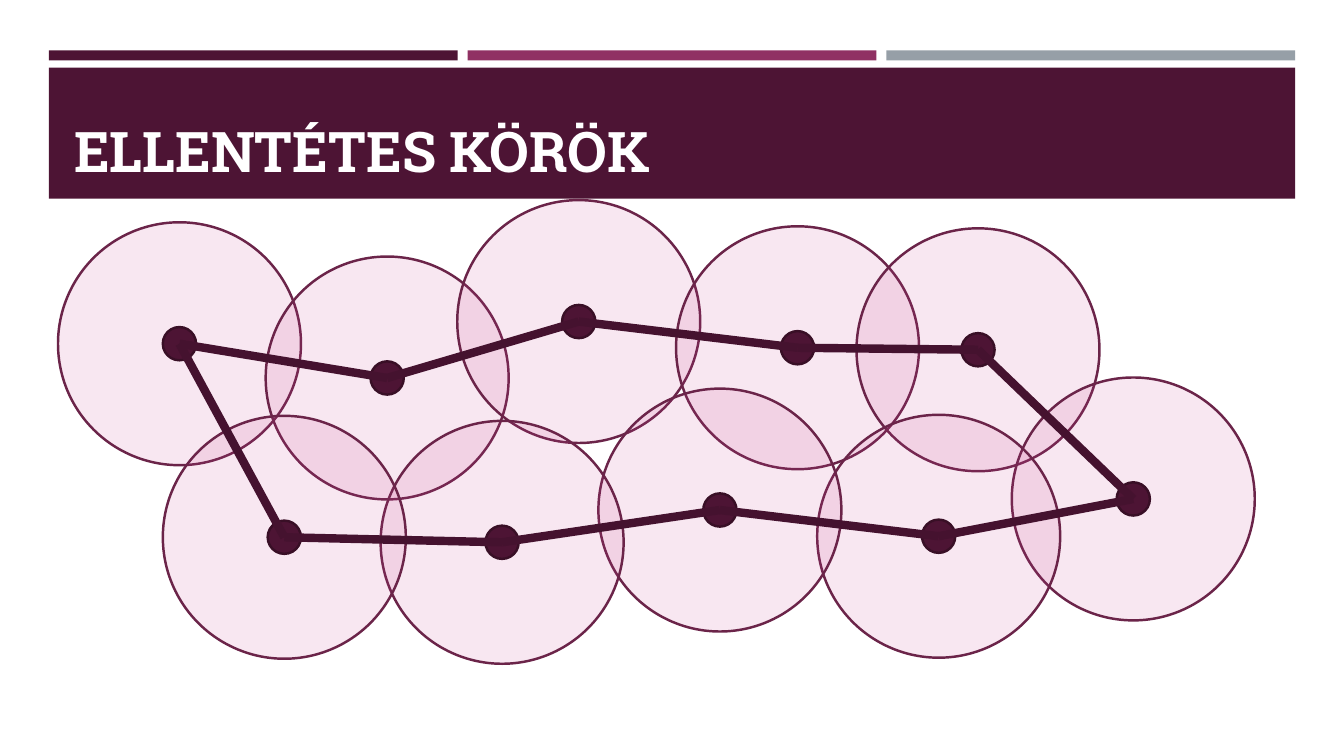
import itertools

import lxml.etree
import pptx
import pptx.dml.color
import pptx.enum.shapes
import pptx.enum.text
import pptx.oxml.ns
import pptx.util

COLS, ROWS = 1333, 750
CELL = pptx.util.Inches(0.01)
SHAPE = pptx.enum.shapes.MSO_SHAPE
PLUM, ROSE, GREY = "4D1434", "903163", "969FA7"
DISC, RIM, EDGE, LINK = "CA3E8E", "6B2449", "390F26", "45122F"
CLEAR = 12
DISC_SIZE, DOT_SIZE = 241, 33
UPPER = [(120, 144), (326, 178), (516, 122), (733, 148), (912, 150)]
LOWER = [(224, 336), (440, 341), (656, 309), (873, 335), (1066, 298)]


def grid(*cells):
    """Turn counts of grid cells into slide lengths."""
    return [round(n * CELL) for n in cells]


def tint(code):
    """Return the colour of a hex string."""
    return pptx.dml.color.RGBColor.from_string(code)


def draw(shapes, kind, box, fill, edge=None):
    """Add a flat preset shape that fills the box."""
    item = shapes.add_shape(kind, *grid(*box))
    item.shadow.inherit = False
    item.fill.solid()
    item.fill.fore_color.rgb = tint(fill)
    if edge:
        item.line.color.rgb = tint(edge)
        item.line.width = pptx.util.Pt(1.75)
    else:
        item.line.fill.background()
    return item


def fade(item, share):
    """Set the opacity of a solid fill in percent."""
    color = item.fill._xPr.find(".//" + pptx.oxml.ns.qn("a:srgbClr"))
    alpha = lxml.etree.SubElement(color, pptx.oxml.ns.qn("a:alpha"))
    alpha.set("val", str(share * 1000))


def header(slide, box):
    """Place the three stripes, the banner and the title in the box."""
    left, top, width, height = box
    gap, strip = 10, 10
    part = (width - 2 * gap) / 3
    for i, fill in enumerate([PLUM, ROSE, GREY]):
        spot = (left + i * (part + gap), top, part, strip)
        draw(slide.shapes, SHAPE.RECTANGLE, spot, fill)
    drop = 17
    draw(slide.shapes, SHAPE.RECTANGLE,
         (left, top + drop, width, height - drop), PLUM)
    title = slide.shapes.title
    title.left, title.top, title.width, title.height = grid(
        left + 15, top + 27, width - 30, height - 36)
    slide.shapes._spTree.append(title._element)
    frame = title.text_frame
    frame.text = "ELLENTÉTES KÖRÖK"
    frame.word_wrap = True
    frame.vertical_anchor = pptx.enum.text.MSO_ANCHOR.BOTTOM
    line = frame.paragraphs[0]
    line.alignment = pptx.enum.text.PP_ALIGN.LEFT
    line.line_spacing = 0.9
    font = line.runs[0].font
    font.name, font.size, font.bold = "Roboto Slab", pptx.util.Pt(40), True
    font.color.rgb = tint("FFFFFF")


def node(slide, x, y):
    """Group a clear disc and a dot around one centre."""
    group = slide.shapes.add_group_shape()
    for size, fill, edge in [(DISC_SIZE, DISC, RIM), (DOT_SIZE, PLUM, EDGE)]:
        spot = (x - size / 2, y - size / 2, size, size)
        item = draw(group.shapes, SHAPE.OVAL, spot, fill, edge)
        if size == DISC_SIZE:
            fade(item, CLEAR)


def link(slide, start, end):
    """Draw a thick line between two centres."""
    line = slide.shapes.add_connector(
        pptx.enum.shapes.MSO_CONNECTOR.STRAIGHT, *grid(*start, *end))
    line.line.color.rgb = tint(LINK)
    line.line.width = pptx.util.Pt(6)
    props = line._element.spPr
    lxml.etree.SubElement(props, pptx.oxml.ns.qn("a:effectLst"))


def chain(slide, box):
    """Place the closed chain of discs relative to the box."""
    left, top = box[:2]
    ring = [(left + x, top + y) for x, y in UPPER + LOWER[::-1]]
    for x, y in ring:
        node(slide, x, y)
    for start, end in itertools.pairwise(ring + ring[:1]):
        link(slide, start, end)


def main():
    """Build the slide and save it."""
    deck = pptx.Presentation()
    deck.slide_width, deck.slide_height = grid(COLS, ROWS)
    slide = deck.slides.add_slide(deck.slide_layouts[5])
    header(slide, (48.5, 50, 1236, 147))
    chain(slide, (58, 197, 1188, 463))
    deck.save("out.pptx")


if __name__ == "__main__":
    main()
